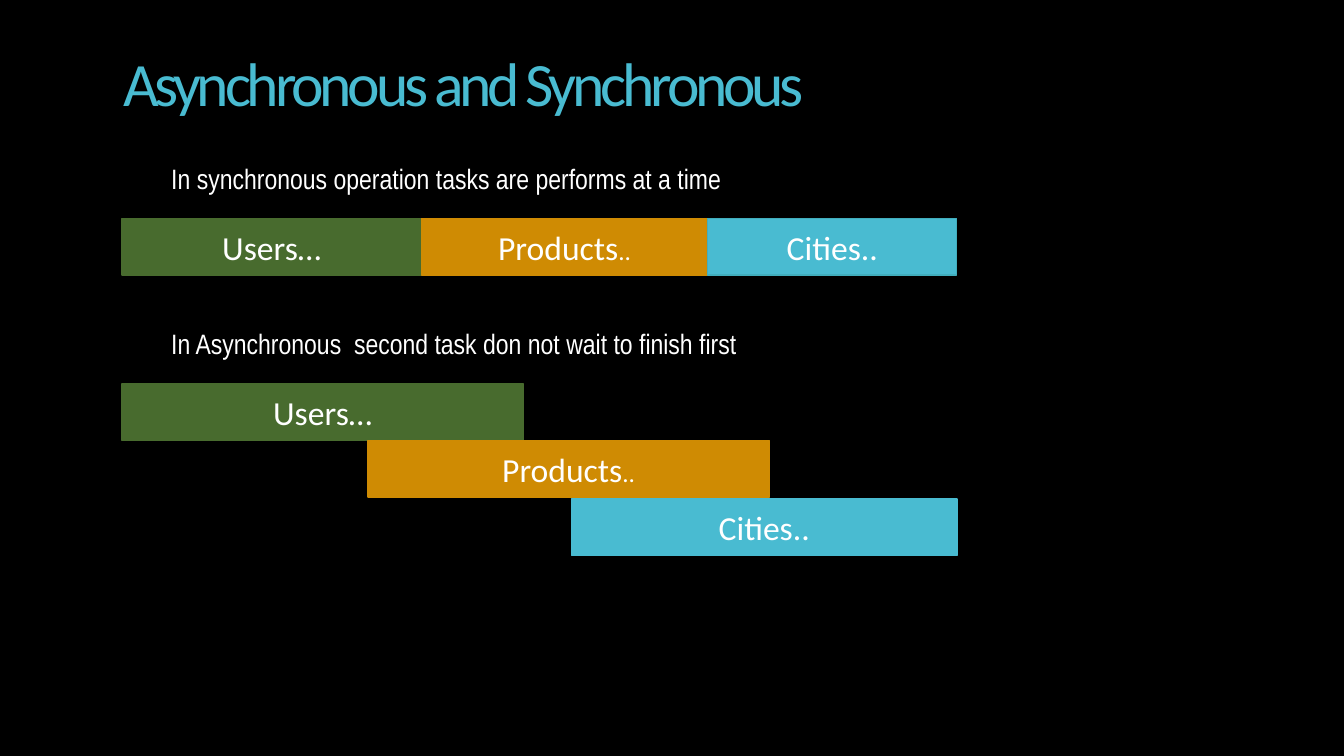
from pptx import Presentation
from pptx.dml.color import RGBColor
from pptx.enum.shapes import MSO_SHAPE as Shape
from pptx.enum.text import MSO_ANCHOR as Anchor, PP_ALIGN as Align
from pptx.util import Inches, Pt


def rgb(value):
    return RGBColor.from_string(value)


def style(run, size, font, color):
    run.font.size = Pt(size)
    run.font.name = font
    run.font.color.rgb = rgb(color)


WHITE, GREEN, ORANGE, CYAN, TEAL = "FFFFFF", "486B2E", "CF8B03", "49BBD1", "41AEBD"
BAR_HEIGHT = 0.56
CHART_LEFT = 1.21
CAPTION_LEFT = 1.6

deck = Presentation()
deck.slide_width, deck.slide_height = Inches(13.33), Inches(7.5)
slide = deck.slides.add_slide(deck.slide_layouts[5])
slide.background.fill.solid()
slide.background.fill.fore_color.rgb = rgb("000000")

title = slide.shapes.title
title.left, title.top = Inches(1.12), Inches(0.44)
title.width, title.height = Inches(9.65), Inches(0.84)
title.text_frame.text = "Asynchronous and Synchronous"
title.text_frame.word_wrap = False
title.text_frame.vertical_anchor = Anchor.MIDDLE
heading = title.text_frame.paragraphs[0]
heading.alignment = Align.LEFT
heading.line_spacing = 0.9
style(heading.runs[0], 44, "Calibri", CYAN)
heading.runs[0].font._element.set("spc", "-300")

captions = [
    ("In synchronous operation tasks are performs at a time", 1.55, 8.15),
    ("In Asynchronous  second task don not wait to finish first", 3.19, 6.31),
]
for wording, top, width in captions:
    caption = slide.shapes.add_textbox(
        Inches(CAPTION_LEFT), Inches(top), Inches(width), Inches(0.44))
    caption.text_frame.word_wrap = True
    caption.text_frame.text = wording
    style(caption.text_frame.paragraphs[0].runs[0], 20, "Arial Narrow", WHITE)

tasks = [("Users…", "", GREEN), ("Products", "..", ORANGE), ("Cities..", "", CYAN)]
sync_widths = [2.97, 2.84, 2.47]
sync_bars = [(CHART_LEFT + sum(sync_widths[:i]), 2.17, width)
             for i, width in enumerate(sync_widths)]
async_bars = [(CHART_LEFT, 3.81, 3.98), (3.65, 4.37, 3.98), (5.67, 4.95, 3.82)]

for bars, cities_edge in ((sync_bars, TEAL), (async_bars, CYAN)):
    for (name, dots, color), (left, top, width) in zip(tasks, bars):
        bar = slide.shapes.add_shape(
            Shape.RECTANGLE, Inches(left), Inches(top), Inches(width), Inches(BAR_HEIGHT))
        bar.shadow.inherit = False
        bar.fill.solid()
        bar.fill.fore_color.rgb = rgb(color)
        bar.line.color.rgb = rgb(cities_edge if color == CYAN else color)
        bar.line.width = Pt(1)
        bar.text_frame.vertical_anchor = Anchor.MIDDLE
        label = bar.text_frame.paragraphs[0]
        label.text = name
        label.alignment = Align.CENTER
        style(label.runs[0], 24, "Calibri", WHITE)
        if dots:
            trail = label.add_run()
            trail.text = dots
            style(trail, 18, "Calibri", WHITE)

deck.save("out.pptx")
